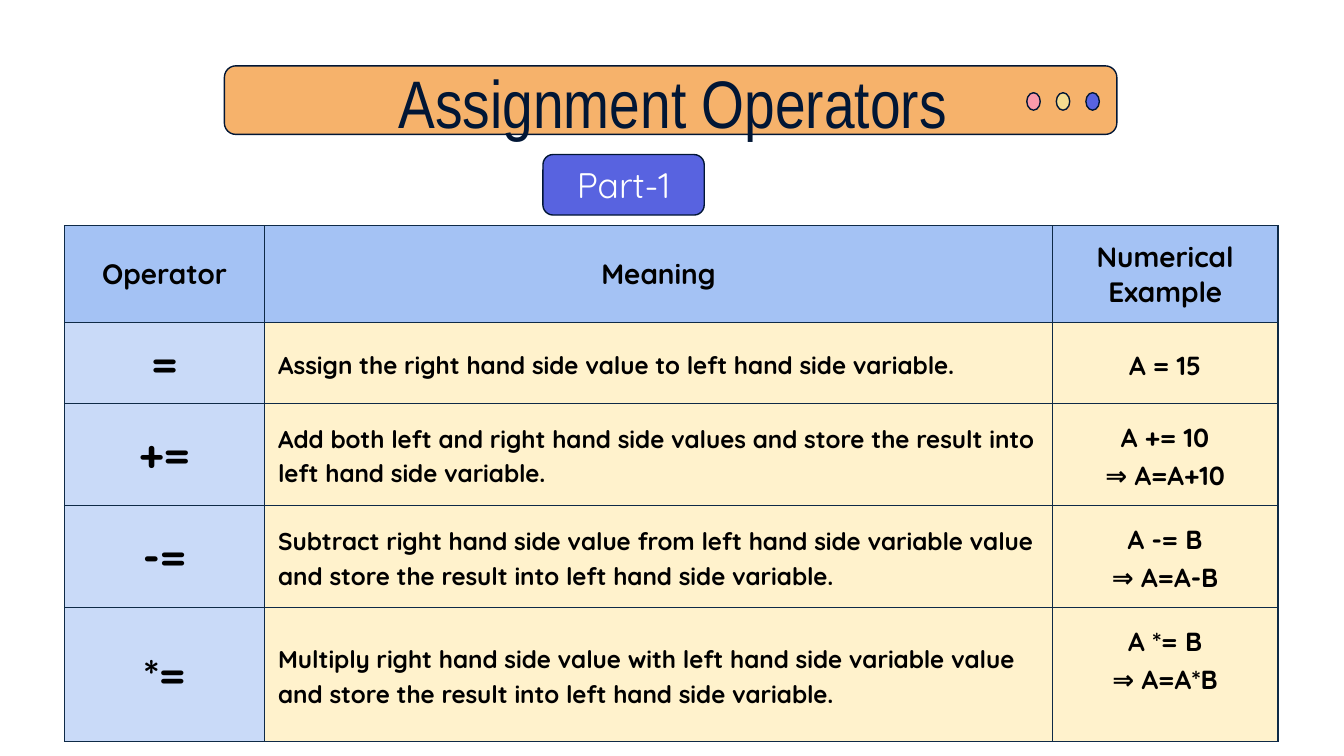
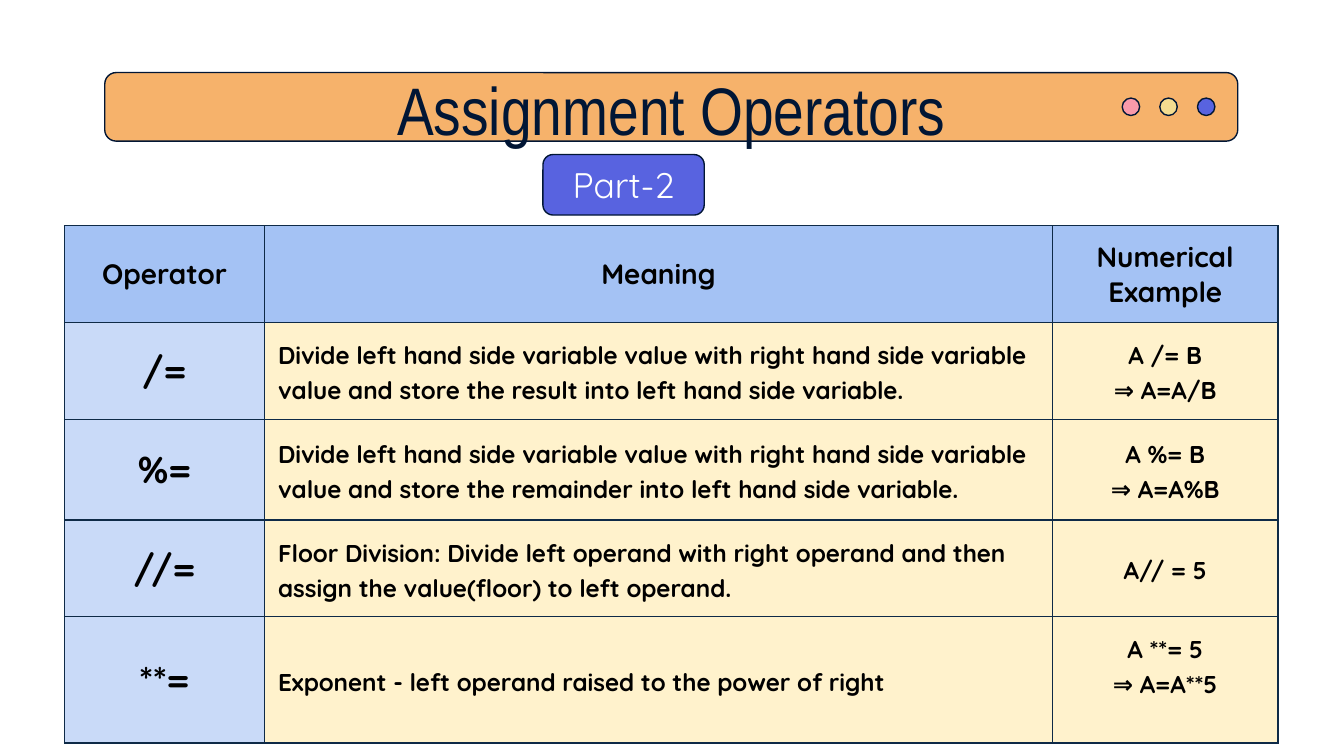
from lxml.etree import SubElement
from pptx import Presentation
from pptx.dml.color import RGBColor
from pptx.enum.shapes import MSO_SHAPE
from pptx.enum.text import MSO_ANCHOR, MSO_AUTO_SIZE, PP_ALIGN
from pptx.oxml.ns import qn
from pptx.util import Inches, Pt

TITLE_ONLY = 5
SLIDE_WIDTH = 10
NAVY, ORANGE, INDIGO, WHITE, BLACK = "011635", "F6B26B", "5863E0", "FFFFFF", "000000"
PINK, YELLOW = "F99AAA", "F4DC90"
HEADER_BLUE, OPERATOR_BLUE, CREAM, BORDER = "A4C2F4", "C9DAF8", "FFF2CC", "0E2A47"
BODY_FONT, TITLE_FONT = "Quicksand", "Arial Narrow"

HEADINGS = ("Operator", "Meaning", "Numerical Example")
COLUMN_WIDTHS = (1.49, 5.86, 1.68)
MARGINS = ("margin_left", "margin_top", "margin_right", "margin_bottom")

PARTS = [
    {
        "label": "Part-1",
        "band": (1.67, 0.49, 6.64, 0.51),
        "title": (2.24, 0.44, 5.53, 0.63),
        "dots": {"left": 7.64, "top": 0.69, "width": 0.1, "height": 0.13, "step": 0.22},
        "sizes": (23, 13, 14),
        "row_heights": (0.72, 0.6, 0.76, 0.76, 1),
        "rows": [
            ("=", "Assign the right hand side value to left hand side variable.", "A = 15"),
            ("+=", "Add both left and right hand side values and store the result "
                   "into left hand side variable.", "A += 10\n⇒ A=A+10"),
            ("-=", "Subtract right hand side value from left hand side variable value "
                   "and store the result into left hand side variable.", "A -= B\n⇒ A=A-B"),
            ("*=", "Multiply right hand side value with left hand side variable value "
                   "and store the result into left hand side variable.", "A *= B\n⇒ A=A*B"),
        ],
    },
    {
        "label": "Part-2",
        "band": (0.78, 0.54, 8.43, 0.51),
        "title": (1.49, 0.49, 7.01, 0.63),
        "dots": {"left": 8.35, "top": 0.73, "width": 0.13, "height": 0.13, "step": 0.28},
        "sizes": (20, 13, 13),
        "row_heights": (0.72, 0.72, 0.75, 0.72, 0.94),
        "rows": [
            ("/=", "Divide left hand side variable value with right hand side variable "
                   "value and store the result into left hand side variable.", "A /= B\n⇒ A=A/B"),
            ("%=", "Divide left hand side variable value with right hand side variable "
                   "value and store the remainder into left hand side variable.",
             "A %= B\n⇒ A=A%B"),
            ("//=", "Floor Division: Divide left operand with right operand and then "
                    "assign the value(floor) to left operand.", "A// = 5"),
            ("**=", "Exponent - left operand raised to the power of right",
             "A **= 5\n⇒ A=A**5"),
        ],
    },
]


def rgb(value):
    """Turn a hex string into a colour."""
    return RGBColor.from_string(value)


def set_values(target, values):
    """Set each named attribute of the target."""
    for name, value in values.items():
        setattr(target, name, value)


def write_text(frame, text, size, font=BODY_FONT, color=BLACK, bold=False,
               align=PP_ALIGN.CENTER, spacing=1.0):
    """Fill a text frame with one formatted paragraph."""
    paragraph = frame.paragraphs[0]
    paragraph.text = text
    set_values(paragraph, {"alignment": align, "line_spacing": spacing})
    for target in (paragraph, *paragraph.runs):
        set_values(target.font, {"name": font, "size": Pt(size), "bold": bold})
        target.font.color.rgb = rgb(color)


def add_outlined_shape(shapes, kind, box, fill):
    """Add a filled preset shape with the thin navy outline."""
    shape = shapes.add_shape(kind, *map(Inches, box))
    shape.shadow.inherit = False
    shape.fill.solid()
    shape.fill.fore_color.rgb = rgb(fill)
    shape.line.color.rgb = rgb(NAVY)
    shape.line.width = Pt(0.75)
    return shape


def add_dots(slide, left, top, width, height, step):
    """Add the three grouped window dots at equal steps."""
    group = slide.shapes.add_group_shape()
    for index, fill in enumerate((PINK, YELLOW, INDIGO)):
        box = (left + index * step, top, width, height)
        add_outlined_shape(group.shapes, MSO_SHAPE.OVAL, box, fill)


def set_frame(frame):
    """Centre a text frame vertically and clear its insets."""
    set_values(frame, {"word_wrap": True, "auto_size": MSO_AUTO_SIZE.NONE,
                       "vertical_anchor": MSO_ANCHOR.MIDDLE})
    set_values(frame, dict.fromkeys(MARGINS, 0))


def place_title(slide, box):
    """Place the title placeholder in front of its band."""
    title = slide.shapes.title
    set_values(title, dict(zip(("left", "top", "width", "height"), map(Inches, box))))
    set_frame(title.text_frame)
    write_text(title.text_frame, "Assignment Operators", 36, TITLE_FONT, NAVY)
    slide.shapes.element.append(title.element)


def add_badge(slide, label):
    """Add the rounded badge that names the part."""
    badge = add_outlined_shape(slide.shapes, MSO_SHAPE.ROUNDED_RECTANGLE,
                               (4.04, 1.15, 1.2, 0.45), INDIGO)
    set_frame(badge.text_frame)
    write_text(badge.text_frame, label, 19, color=WHITE)


def add_borders(cell):
    """Draw a thin line on all four sides of a cell."""
    properties = cell._tc.get_or_add_tcPr()
    for side in ("a:lnL", "a:lnR", "a:lnT", "a:lnB"):
        line = SubElement(properties, qn(side), w=str(Pt(0.75)))
        fill = SubElement(line, qn("a:solidFill"))
        SubElement(fill, qn("a:srgbClr"), val=BORDER)


def format_cell(cell, text, fill, size, **text_format):
    """Give a cell its borders, fill, margins and text."""
    add_borders(cell)
    cell.fill.solid()
    cell.fill.fore_color.rgb = rgb(fill)
    set_values(cell, dict.fromkeys(MARGINS, Inches(0.1)))
    cell.vertical_anchor = MSO_ANCHOR.MIDDLE
    write_text(cell.text_frame, text, size, bold=True, **text_format)


def add_operator_table(slide, rows, row_heights, sizes):
    """Add the table of operators, meanings and examples."""
    frame = slide.shapes.add_table(
        len(row_heights), len(COLUMN_WIDTHS), Inches(0.48), Inches(1.68),
        Inches(sum(COLUMN_WIDTHS)), Inches(sum(row_heights)))
    table = frame.table
    set_values(table, {"first_row": False, "horz_banding": False})
    for column, width in zip(table.columns, COLUMN_WIDTHS):
        column.width = Inches(width)
    for row, height in zip(table.rows, row_heights):
        row.height = Inches(height)
    for column, heading in enumerate(HEADINGS):
        format_cell(table.cell(0, column), heading, HEADER_BLUE, 15)
    formats = (
        {"fill": OPERATOR_BLUE},
        {"fill": CREAM, "align": PP_ALIGN.LEFT, "spacing": 1.15},
        {"fill": CREAM, "spacing": 1.15},
    )
    for row, texts in enumerate(rows, start=1):
        for column, text in enumerate(texts):
            format_cell(table.cell(row, column), text, size=sizes[column], **formats[column])
    table.cell(len(rows), 2).vertical_anchor = MSO_ANCHOR.TOP


def add_part(presentation, part):
    """Build the slide for one part of the operators."""
    slide = presentation.slides.add_slide(presentation.slide_layouts[TITLE_ONLY])
    add_operator_table(slide, part["rows"], part["row_heights"], part["sizes"])
    add_outlined_shape(slide.shapes, MSO_SHAPE.ROUNDED_RECTANGLE, part["band"], ORANGE)
    add_dots(slide, **part["dots"])
    place_title(slide, part["title"])
    add_badge(slide, part["label"])


def main():
    """Build and save the presentation."""
    presentation = Presentation()
    set_values(presentation, {"slide_width": Inches(SLIDE_WIDTH),
                              "slide_height": Inches(SLIDE_WIDTH * 9 / 16)})
    for part in PARTS:
        add_part(presentation, part)
    presentation.save("out.pptx")


if __name__ == "__main__":
    main()
